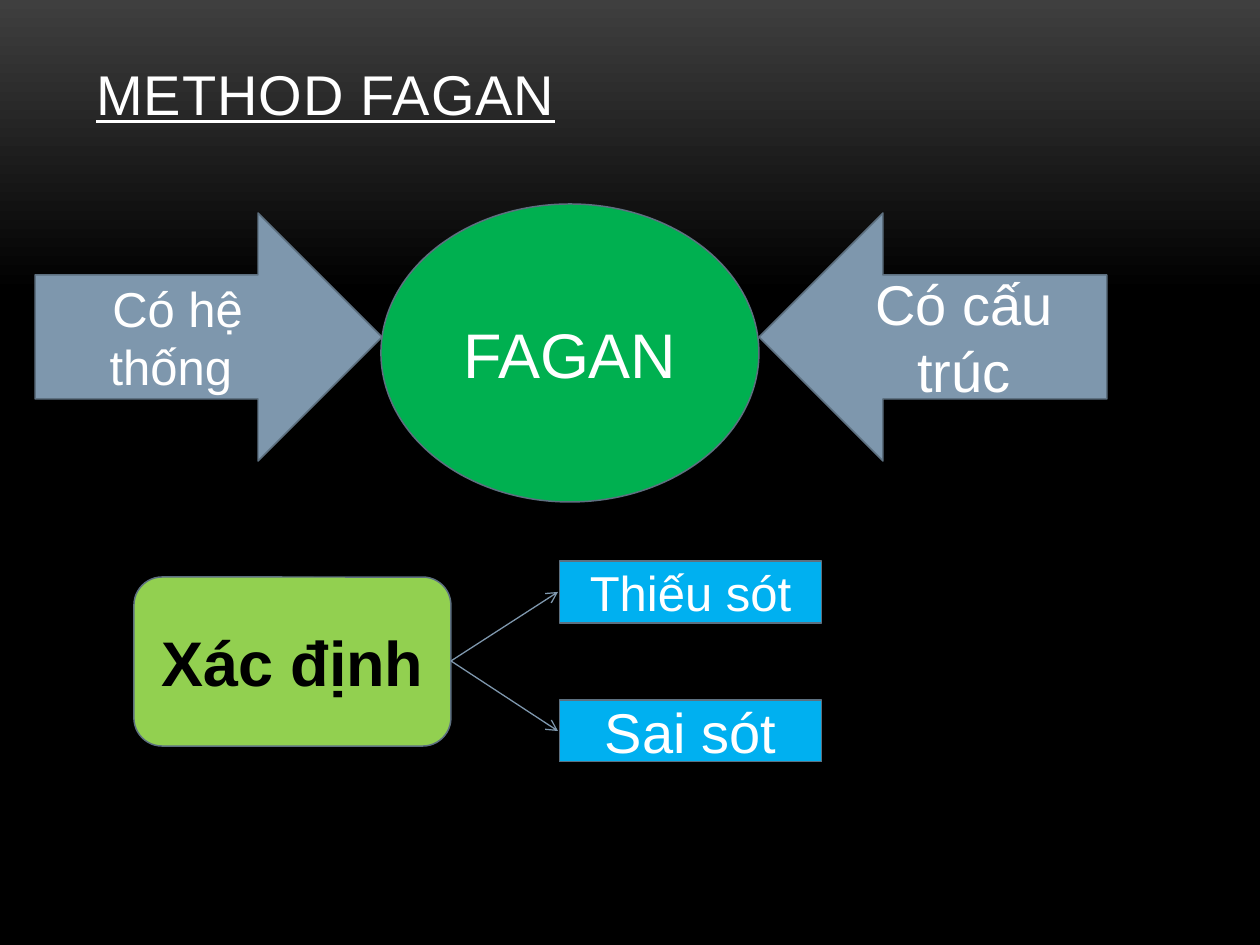
"""Build the Fagan method slide with its inputs and the faults it identifies."""
from lxml.etree import SubElement
from pptx import Presentation
from pptx.dml.color import RGBColor
from pptx.enum.shapes import MSO_CONNECTOR as Link, MSO_SHAPE as Shape
from pptx.enum.text import MSO_ANCHOR as Anchor, PP_ALIGN as Align
from pptx.oxml.ns import qn
from pptx.util import Emu, Pt

THEME = {
    "font": "Arial",
    "white": "FFFFFF", "black": "000000", "glow": "3F3F3F",
    "green": "00B050", "steel": "7E97AD", "lime": "92D050", "sky": "00B0F0",
    "outline": "5D7080",
    "small": 28, "medium": 32, "large": 36,
}


def px(*lengths):
    return [Emu(round(length * 914400 / 126)) for length in lengths]


def write(box, text, size, color, **formats):
    para = box.text_frame.paragraphs[0]
    span = para.add_run()
    span.text = text
    span.font.color.rgb = RGBColor.from_string(THEME[color])
    formats |= {"name": THEME["font"], "size": Pt(THEME[size])}
    for name, value in formats.items():
        setattr(span.font, name, value)
    return para, span


deck = Presentation()
deck.slide_width, deck.slide_height = px(1260, 945)
page = deck.slides.add_slide(deck.slide_layouts[6])

backdrop = page.background.fill
backdrop.gradient()
backdrop.gradient_angle = 270
for stop, color, position in zip(backdrop.gradient_stops, ("glow", "black"), (0, 0.31)):
    stop.color.rgb = RGBColor.from_string(THEME[color])
    stop.position = position

title = page.shapes.add_textbox(*px(84, 38, 1092, 157))
title_format = {"word_wrap": True, "vertical_anchor": Anchor.BOTTOM, "margin_bottom": px(68)[0]}
for name, value in title_format.items():
    setattr(title.text_frame, name, value)
title_para, title_span = write(title, "METHOD FAGAN", "medium", "white", underline=True)
title_span._r.get_or_add_rPr().set("spc", "50")

blocks = [
    (Shape.OVAL, (381, 204, 378, 298), "green", "FAGAN", "large", "white", False),
    (Shape.RIGHT_ARROW, (35, 213, 347, 248), "steel", "Có hệ thống ", "small", "white", False),
    (Shape.LEFT_ARROW, (759, 213, 348, 248), "steel", "Có cấu trúc", "medium", "white", False),
    (Shape.ROUNDED_RECTANGLE, (134, 577, 317, 169), "lime", "Xác định", "large", "black", True),
    (Shape.MATH_MINUS, (512, 461, 357, 262), "sky", "Thiếu sót", "small", "white", False),
    (Shape.MATH_MINUS, (512, 600, 357, 262), "sky", "Sai sót", "medium", "white", False),
]
for kind, place, fill, text, size, color, bold in blocks:
    box = page.shapes.add_shape(kind, *px(*place))
    box.shadow.inherit = False
    box.fill.solid()
    box.fill.fore_color.rgb = RGBColor.from_string(THEME[fill])
    box.line.color.rgb = RGBColor.from_string(THEME["outline"])
    box.line.width = Pt(0.85)
    box.text_frame.word_wrap = True
    box.text_frame.vertical_anchor = Anchor.MIDDLE
    para, span = write(box, text, size, color, bold=bold)
    para.alignment = Align.CENTER

for end_y in (592, 731):
    arrow = page.shapes.add_connector(Link.STRAIGHT, *px(451, 661, 558, end_y))
    arrow.line.color.rgb = RGBColor.from_string(THEME["steel"])
    arrow.line.width = Pt(0.75)
    SubElement(arrow.line._get_or_add_ln(), qn("a:tailEnd"), type="arrow")
    SubElement(arrow._element.spPr, qn("a:effectLst"))

deck.save("out.pptx")
